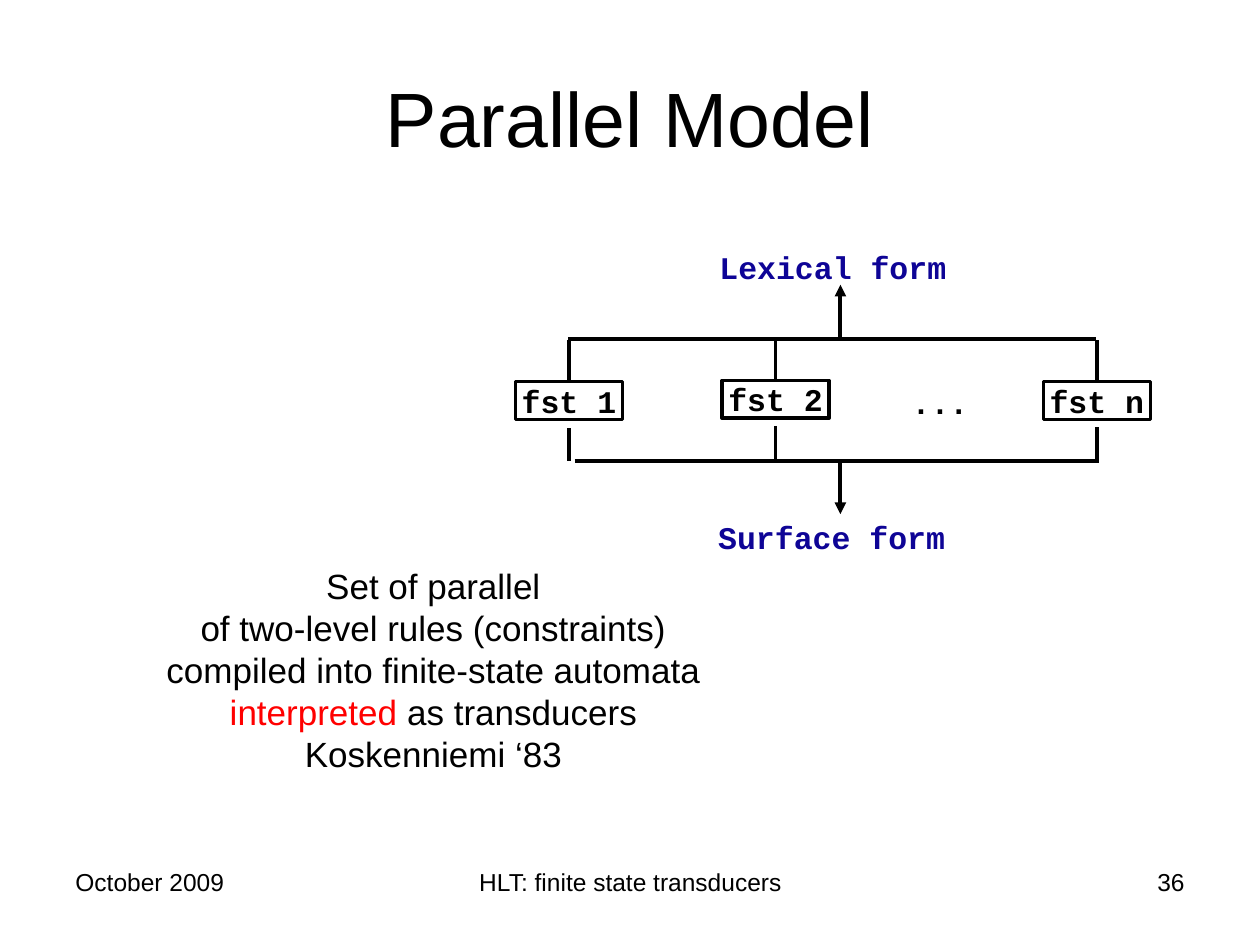
from lxml import etree
from pptx import Presentation
from pptx.dml.color import RGBColor
from pptx.enum.shapes import MSO_CONNECTOR, MSO_SHAPE
from pptx.enum.text import MSO_ANCHOR, PP_ALIGN
from pptx.oxml.ns import qn
from pptx.util import Inches, Pt


def color(value):
    return RGBColor.from_string(value)


def write(shape, lines, size, font="Arial", fill="000000", align=PP_ALIGN.CENTER, wrap=True):
    frame = shape.text_frame
    frame.word_wrap = wrap
    for index, line in enumerate(lines):
        para = frame.paragraphs[0] if index == 0 else frame.add_paragraph()
        para.alignment = align
        para.font.size = Pt(size)
        para.font.name = font
        para.font.bold = font == "Courier New"
        para.font.color.rgb = color(fill)
        for text, highlight in line:
            span = para.add_run()
            span.text = text
            if highlight:
                span.font.color.rgb = color(highlight)
    return frame


deck = Presentation()
deck.slide_width = Inches(10)
deck.slide_height = Inches(7.5)
page = deck.slides.add_slide(deck.slide_layouts[6])

footers = [
    ("October 2009", 0.5, 2.33, PP_ALIGN.LEFT),
    ("HLT: finite state transducers", 3.42, 3.17, PP_ALIGN.CENTER),
    ("36", 7.17, 2.33, PP_ALIGN.RIGHT),
]
for text, left, width, align in footers:
    box = page.shapes.add_textbox(Inches(left), Inches(6.83), Inches(width), Inches(0.52))
    write(box, [[(text, None)]], 14, align=align)

title = page.shapes.add_textbox(Inches(0.5), Inches(0.3), Inches(9), Inches(1.25))
write(title, [[("Parallel Model", None)]], 44).vertical_anchor = MSO_ANCHOR.MIDDLE

description = page.shapes.add_textbox(Inches(1.22), Inches(4.43), Inches(4.44), Inches(2.1))
write(description, [
    [("Set of parallel", None)],
    [("of two-level rules (constraints)", None)],
    [("compiled into finite-state automata", None)],
    [("interpreted", "FF0000"), (" as transducers", None)],
    [("Koskenniemi ‘83", None)],
], 20, wrap=False)

labels = [
    ("Lexical form", 5.61, 1.92, 2, "0E0496"),
    ("Surface form", 5.6, 4.06, 2, "0E0496"),
    ("...", 7.1, 2.99, 0.72, "000000"),
]
for text, left, top, width, fill in labels:
    box = page.shapes.add_textbox(Inches(left), Inches(top), Inches(width), Inches(0.4))
    write(box, [[(text, None)]], 18, "Courier New", fill, wrap=False)

lines = [
    (4.51, 2.69, 8.7, 2.69, 2, None),
    (4.56, 3.66, 8.72, 3.66, 2, None),
    (6.67, 3.67, 6.67, 4.08, 2.25, None),
    (6.67, 2.68, 6.67, 2.26, 2.25, None),
]
for text, left, top, exit_top in [("fst 1", 4.09, 3.03, 3.4), ("fst 2", 5.73, 3.02, 3.38), ("fst n", 8.28, 3.03, 3.39)]:
    box = page.shapes.add_shape(MSO_SHAPE.RECTANGLE, Inches(left), Inches(top), Inches(0.85), Inches(0.3))
    box.shadow.inherit = False
    box.fill.background()
    box.line.color.rgb = color("000000")
    box.line.width = Pt(2)
    frame = write(box, [[(text, None)]], 18, "Courier New", wrap=False)
    frame.vertical_anchor = MSO_ANCHOR.TOP
    frame.margin_left = frame.margin_right = Inches(0.05)
    frame.margin_top = frame.margin_bottom = Inches(0)
    center = left + 0.425
    lines.append((center, top, center, 2.7, 2, box))
    lines.append((center, exit_top, center, 3.66, 2, None))

for x1, y1, x2, y2, weight, start in lines:
    line = page.shapes.add_connector(MSO_CONNECTOR.STRAIGHT, Inches(x1), Inches(y1), Inches(x2), Inches(y2))
    if start is not None:
        line.begin_connect(start, 0)
    line.line.color.rgb = color("000000")
    line.line.width = Pt(weight)
    if weight == 2.25:
        outline = line.line._get_or_add_ln()
        etree.SubElement(outline, qn("a:tailEnd"), type="triangle")
    etree.SubElement(line._element.spPr, qn("a:effectLst"))

deck.save("out.pptx")
